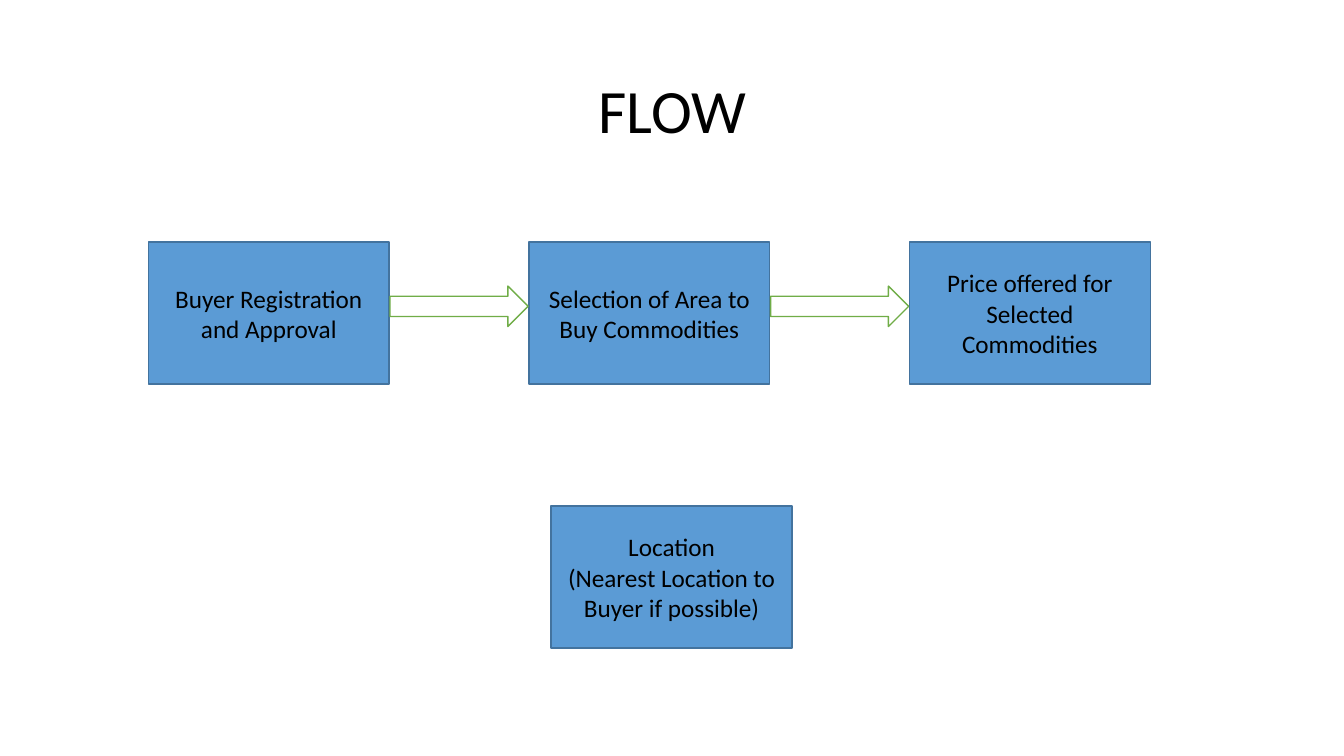
from collections import namedtuple
from dataclasses import dataclass

from pptx import Presentation
from pptx import util as u
from pptx.dml.color import RGBColor
from pptx.enum import shapes, text

Box = namedtuple("Box", "left top width height")


@dataclass(frozen=True)
class Theme:
    font: str = "Calibri"
    title_size: int = 44
    step_size: int = 18
    line_width: int = 1
    ink: str = "000000"
    step_fill: str = "5B9BD5"
    step_line: str = "43739E"
    arrow_fill: str = "FFFFFF"
    arrow_line: str = "70AD47"


THEME = Theme()
STEP_WIDTH, STEP_HEIGHT = 6.07, 3.58
ARROW_WIDTH, ARROW_HEIGHT = 3.48, 1.02


def set_values(target, values):
    for name, value in values.items():
        setattr(target, name, value)


def place(shape, box):
    set_values(shape, {side: u.Cm(value) for side, value in box._asdict().items()})


def write(shape, lines, size, line_spacing=1.0):
    frame = shape.text_frame
    frame.text = "\n".join(lines)
    set_values(frame, {"word_wrap": True, "auto_size": text.MSO_AUTO_SIZE.NONE,
                       "vertical_anchor": text.MSO_ANCHOR.MIDDLE})
    for paragraph in frame.paragraphs:
        set_values(paragraph, {"alignment": text.PP_ALIGN.CENTER,
                               "line_spacing": line_spacing})
        for run in paragraph.runs:
            set_values(run.font, {"name": THEME.font, "size": u.Pt(size)})
            run.font.color.rgb = RGBColor.from_string(THEME.ink)


def add_block(slide, kind, box, fill, line):
    shape = slide.shapes.add_shape(kind, *(u.Cm(value) for value in box))
    shape.shadow.inherit = False
    shape.fill.solid()
    shape.fill.fore_color.rgb = RGBColor.from_string(fill)
    shape.line.color.rgb = RGBColor.from_string(line)
    shape.line.width = u.Pt(THEME.line_width)
    return shape


def add_title(slide, box, title):
    place(slide.shapes.title, box)
    write(slide.shapes.title, [title], THEME.title_size, line_spacing=0.9)


def add_step(slide, box, lines):
    shape = add_block(slide, shapes.MSO_SHAPE.RECTANGLE, box,
                      THEME.step_fill, THEME.step_line)
    write(shape, lines, THEME.step_size)


def add_flow(slide, box, steps):
    """Spread the steps evenly over the box, with an arrow in each gap."""
    pitch = (box.width - STEP_WIDTH) / (len(steps) - 1)
    for index, step in enumerate(steps):
        add_step(slide, Box(box.left + index * pitch, box.top,
                            STEP_WIDTH, box.height), [step])
    # Arrows lie over the steps
    inset = (pitch - STEP_WIDTH - ARROW_WIDTH) / 2
    arrow_top = box.top + (box.height - ARROW_HEIGHT) / 2 - 0.17
    for index in range(len(steps) - 1):
        arrow_left = box.left + index * pitch + STEP_WIDTH + inset
        add_block(slide, shapes.MSO_SHAPE.RIGHT_ARROW,
                  Box(arrow_left, arrow_top, ARROW_WIDTH, ARROW_HEIGHT),
                  THEME.arrow_fill, THEME.arrow_line)


presentation = Presentation()
set_values(presentation, {"slide_width": u.Cm(33.87), "slide_height": u.Cm(19.05)})
slide = presentation.slides.add_slide(presentation.slide_layouts[5])

# Heading
add_title(slide, Box(2.34, 1.02, 29.21, 3.68), "FLOW")

# Buying process
add_flow(slide, Box(3.74, 6.1, 25.25, STEP_HEIGHT), [
    "Buyer Registration and Approval",
    "Selection of Area to Buy Commodities",
    "Price offered for Selected Commodities",
])

# Location, apart from the row
add_step(slide, Box(13.89, 12.75, STEP_WIDTH, STEP_HEIGHT),
         ["Location", "(Nearest Location to Buyer if possible)"])

presentation.save("out.pptx")
